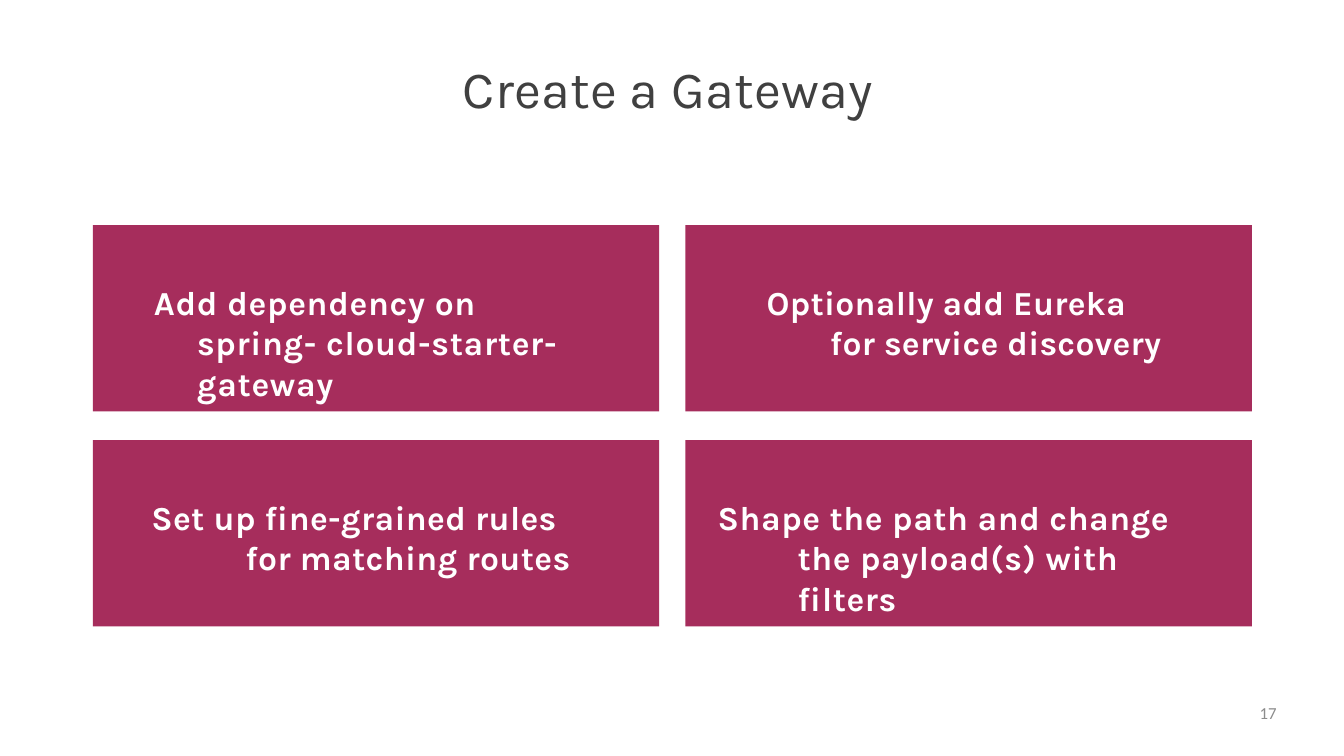
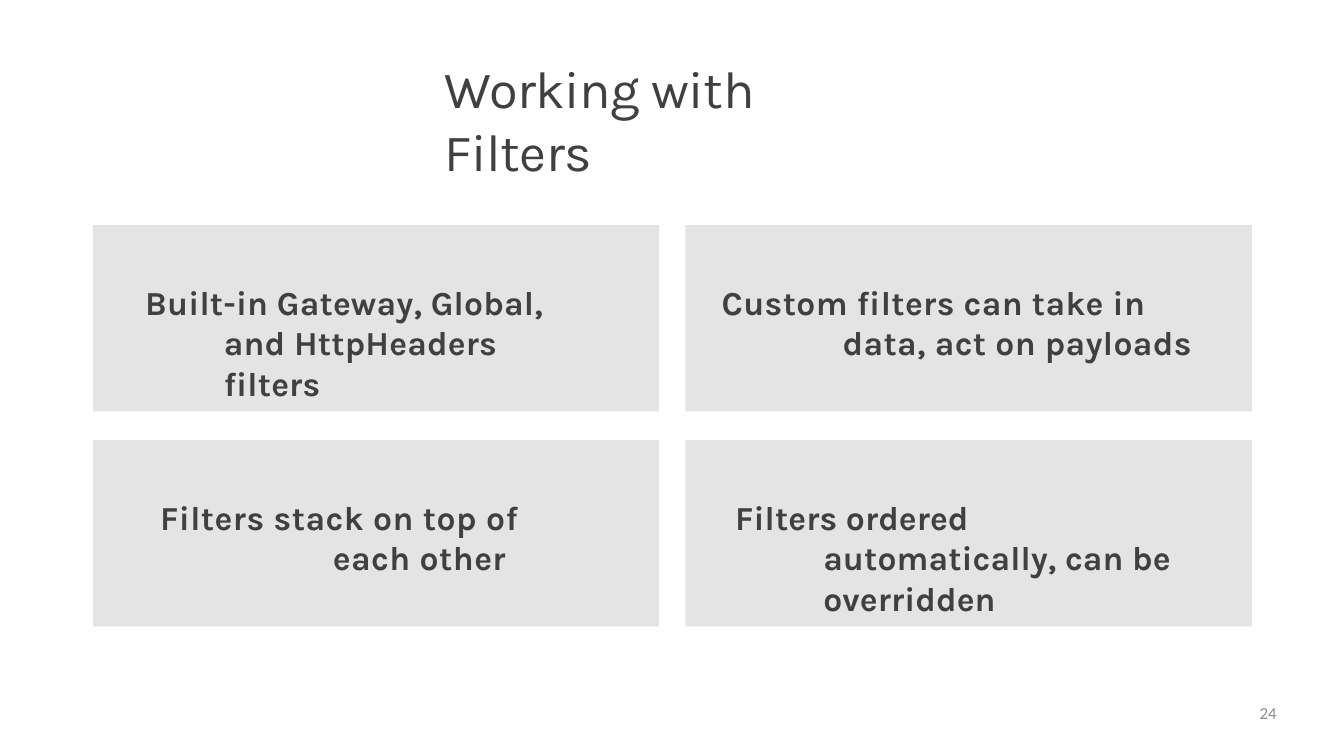
from pptx import Presentation
from pptx.dml.color import RGBColor
from pptx.enum.shapes import MSO_SHAPE
from pptx.enum.text import MSO_ANCHOR, MSO_AUTO_SIZE, PP_ALIGN
from pptx.util import Cm, Pt

COLORS = {
    "berry": "A62D5C",
    "light": "E4E4E4",
    "dark": "404040",
    "white": "FFFFFF",
    "number": "8C8C8C",
}
SLIDE_WIDTH, SLIDE_HEIGHT = 50.8, 28.58
TITLE_ONLY = 5

# Card grid, in centimetres
CARD_LEFT, CARD_TOP = 3.51, 8.51
CARD_WIDTH, CARD_HEIGHT = 21.41, 7.04
COLUMN_STEP, ROW_STEP = 22.4, 8.13

# Cards row by row: text, left margin, first-line indent, right margin (cm),
# letter spacing (pt)
GATEWAY_CARDS = [
    ("Add dependency on spring- cloud-starter-gateway", 3.94, -1.63, 2.84, 0.75),
    ("Optionally add Eureka for service discovery", 5.46, -2.39, 3.28, 0.3),
    ("Set up fine-grained rules for matching routes", 5.77, -3.56, 2.62, 0.4),
    ("Shape the path and change the payload(s) with filters", 4.24, -3.02, 2.34, 0.6),
]
FILTER_CARDS = [
    ("Built-in Gateway, Global, and HttpHeaders filters", 4.95, -2.97, 3.35, 0.2),
    ("Custom filters can take in data, act on payloads", 5.94, -4.57, 1.65, 0.4),
    ("Filters stack on top of each other", 9.07, -6.53, 3.94, 0.5),
    ("Filters ordered automatically, can be overridden", 5.21, -3.33, 2.34, 0.1),
]


def color(name):
    return RGBColor.from_string(COLORS[name])


def write(shape, text, font, size, ink, align=PP_ALIGN.LEFT, bold=False,
          spacing=0, inset_top=0):
    """Fill a shape with one formatted paragraph and return it."""
    frame = shape.text_frame
    frame.text = text
    frame.word_wrap = True
    frame.auto_size = MSO_AUTO_SIZE.NONE
    frame.vertical_anchor = MSO_ANCHOR.TOP
    frame.margin_left = frame.margin_right = frame.margin_bottom = 0
    frame.margin_top = Cm(inset_top)
    para = frame.paragraphs[0]
    para.alignment = align
    for span in para.runs:
        span.font.name = font
        span.font.size = Pt(size)
        span.font.bold = bold
        span.font.color.rgb = color(ink)
        # Letter spacing is counted in hundredths of a point
        span.font._element.set("spc", str(round(spacing * 100)))
    return para


def add_title(page, text, width, spacing):
    title = page.shapes.title
    title.left, title.top = Cm((SLIDE_WIDTH - width) / 2), Cm(2.08)
    title.width, title.height = Cm(width), Cm(2.44)
    write(title, text, "Karla", 56, "dark", spacing=spacing, inset_top=0.06)


def add_card(page, position, card, fill, ink):
    text, margin, indent, right_margin, spacing = card
    row, column = divmod(position, 2)
    box = page.shapes.add_shape(
        MSO_SHAPE.RECTANGLE,
        Cm(CARD_LEFT + column * COLUMN_STEP), Cm(CARD_TOP + row * ROW_STEP),
        Cm(CARD_WIDTH), Cm(CARD_HEIGHT))
    box.shadow.inherit = False
    box.fill.solid()
    box.fill.fore_color.rgb = color(fill)
    box.line.fill.background()
    para = write(box, text, "Karla", 36, ink, bold=True, spacing=spacing,
                 inset_top=2.15)
    properties = para._p.get_or_add_pPr()
    properties.set("marL", str(Cm(margin)))
    properties.set("marR", str(Cm(right_margin)))
    properties.set("indent", str(Cm(indent)))


def add_page_number(page, number):
    box = page.shapes.add_textbox(Cm(36.58), Cm(26.57), Cm(11.68), Cm(1.42))
    write(box, str(number), "Calibri", 18, "number", align=PP_ALIGN.RIGHT)


def add_card_page(deck, title, title_width, title_spacing, cards, fill, ink, number):
    page = deck.slides.add_slide(deck.slide_layouts[TITLE_ONLY])
    add_title(page, title, title_width, title_spacing)
    for position, card in enumerate(cards):
        add_card(page, position, card, fill, ink)
    add_page_number(page, number)


def main():
    deck = Presentation()
    deck.slide_width, deck.slide_height = Cm(SLIDE_WIDTH), Cm(SLIDE_HEIGHT)
    add_card_page(deck, "Create a Gateway", 15.82, 0.3,
                  GATEWAY_CARDS, "berry", "white", 17)
    add_card_page(deck, "Working with Filters", 17.17, -0.6,
                  FILTER_CARDS, "light", "dark", 24)
    deck.save("out.pptx")


main()
